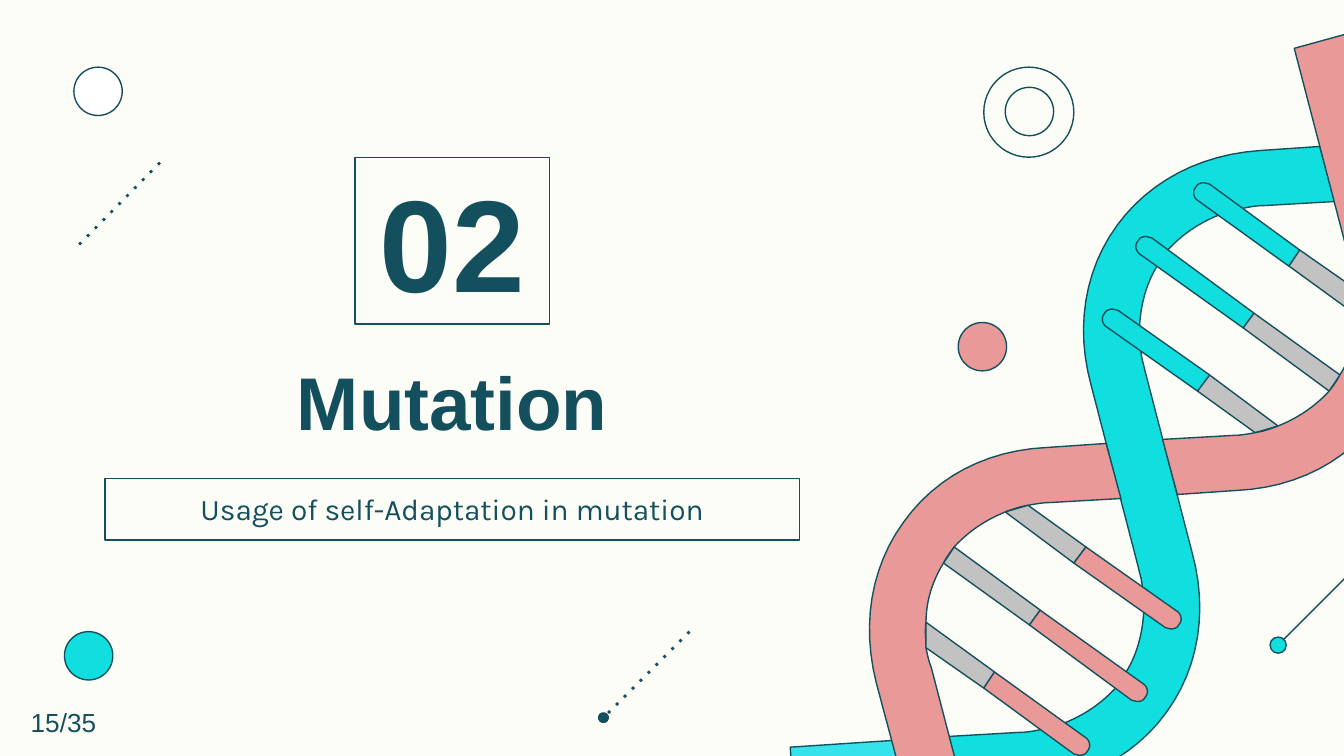
"""Builds the "Mutation" section slide with its DNA helix."""
from lxml.etree import SubElement
from pptx import Presentation
from pptx.dml.color import RGBColor
from pptx.enum.shapes import MSO_CONNECTOR as Connector, MSO_SHAPE as Shape
from pptx.enum.text import MSO_ANCHOR as Anchor, MSO_AUTO_SIZE as AutoSize, PP_ALIGN as Align
from pptx.oxml.ns import qn
from pptx.util import Inches, Pt

IVORY = RGBColor(0xFD, 0xFD, 0xF8)
TEAL = RGBColor(0x13, 0x4F, 0x5C)
CYAN = RGBColor(0x11, 0xDF, 0xDF)
PALE_CYAN = RGBColor(0x36, 0xE2, 0xEB)
PINK = RGBColor(0xEA, 0x99, 0x99)
GREY = RGBColor(0xC2, 0xC2, 0xC2)
WHITE = RGBColor(0xFF, 0xFF, 0xFF)

HELIX_SUM = (16.99, 6.98)
CURVE_STEPS = 12

CYAN_HALF = [
    (9.82, 1.09), (9.38, 1.12),
    (8.93, 1.15, 8.55, 1.35, 8.31, 1.68), (8.07, 2.01, 8, 2.44, 8.12, 2.87),
    (8.47, 4.22), (8.48, 4.27, 8.5, 4.32, 8.5, 4.38),
    (8.51, 4.44, 8.51, 4.5, 8.51, 4.56), (8.5, 4.72, 8.46, 4.87, 8.38, 5),
    (8.36, 5.04, 8.33, 5.08, 8.3, 5.12), (8.2, 5.23, 8.07, 5.32, 7.92, 5.38),
    (7.86, 5.4, 7.81, 5.42, 7.74, 5.43), (7.69, 5.44, 7.64, 5.45, 7.58, 5.45),
    (7.06, 5.48),
]
PINK_UPPER = [
    (10.03, 0.25), (9.63, 0.36), (10.06, 2.01),
    (10.08, 2.06, 10.09, 2.11, 10.1, 2.16), (10.1, 2.23, 10.11, 2.29, 10.1, 2.35),
    (10.1, 2.51, 10.05, 2.66, 9.97, 2.79), (9.95, 2.83, 9.92, 2.87, 9.89, 2.91),
    (9.79, 3.02, 9.66, 3.11, 9.51, 3.17), (9.46, 3.19, 9.4, 3.21, 9.34, 3.22),
    (9.28, 3.23, 9.23, 3.24, 9.18, 3.24), (8.65, 3.27), (8.76, 3.68), (9.2, 3.65),
    (9.65, 3.63, 10.03, 3.43, 10.27, 3.09), (10.51, 2.76, 10.58, 2.33, 10.47, 1.9),
]
CYAN_END = [(6.64, 5.51), (5.88, 5.56), (5.91, 5.98), (6.74, 5.92)]
RUNGS = [
    ((8.53, 1.76), [(9.25, 2.44), (9.33, 2.33)], [(9.89, 2.91), (9.97, 2.79)]),
    ((8.96, 1.36), [(9.59, 1.98), (9.67, 1.86)], [(10.1, 2.35), (10.1, 2.16)]),
    ((8.28, 2.3), [(8.91, 2.91), (9, 2.79)], [(9.34, 3.22), (9.51, 3.17)]),
]


def half_turn(outline):
    """Turn an outline 180 degrees about the helix centre."""
    return [tuple(HELIX_SUM[i % 2] - value for i, value in enumerate(step))
            for step in outline]


def flatten(outline):
    """Turn lines and cubic curves into plain points."""
    points = []
    for step in outline:
        if len(step) == 2:
            points.append(step)
            continue
        controls = [points[-1], step[:2], step[2:4], step[4:]]
        for n in range(1, CURVE_STEPS + 1):
            t = n / CURVE_STEPS
            weights = ((1 - t) ** 3, 3 * t * (1 - t) ** 2, 3 * t * t * (1 - t), t ** 3)
            points.append(tuple(sum(w * c[axis] for w, c in zip(weights, controls))
                                for axis in (0, 1)))
    return points


class SectionSlide:
    """Holds the slide and its outline and text style."""

    def __init__(self, slide):
        """Keep the slide and colour its background."""
        self.slide = slide
        self.shapes = slide.shapes
        slide.background.fill.solid()
        slide.background.fill.fore_color.rgb = IVORY

    def paint(self, shape, fill=None):
        """Apply fill and the thin teal outline."""
        shape.shadow.inherit = False
        if fill is None:
            shape.fill.background()
        else:
            shape.fill.solid()
            shape.fill.fore_color.rgb = fill
        shape.line.color.rgb = TEAL
        shape.line.width = Pt(0.75)

    def circle(self, left, top, size, fill=None):
        """Draw an outlined circle."""
        self.paint(self.shapes.add_shape(
            Shape.OVAL, Inches(left), Inches(top), Inches(size), Inches(size)), fill)

    def outline(self, steps, fill):
        """Draw a closed freeform."""
        points = [(Inches(x), Inches(y)) for x, y in flatten(steps)]
        builder = self.shapes.build_freeform(*points[0])
        builder.add_line_segments(points[1:], close=True)
        self.paint(builder.convert_to_shape(), fill)

    def rung(self, tip, joint, far, fill, turn=list):
        """Draw a rung with a grey half and a rounded coloured half."""
        x, y = tip
        cap = [tip, (x - 0.03, y, x - 0.05, y + 0.01, x - 0.06, y + 0.03),
               (x - 0.09, y + 0.06, x - 0.08, y + 0.11, x - 0.05, y + 0.13)]
        self.outline(turn(joint[::-1] + far), GREY)
        self.outline(turn(cap + joint + [(x + 0.04, y + 0.01)]), fill)

    def line(self, start, end, width=0.75, dash=None, tail=None):
        """Draw a straight line."""
        connector = self.shapes.add_connector(
            Connector.STRAIGHT, *(Inches(value) for value in start + end))
        connector.line.color.rgb = TEAL
        connector.line.width = Pt(width)
        properties = connector._element.spPr
        stroke = properties.find(qn("a:ln"))
        if dash:
            SubElement(stroke, qn("a:prstDash")).set("val", dash)
        if tail:
            SubElement(stroke, qn("a:tailEnd")).set("type", tail)
        SubElement(properties, qn("a:effectLst"))

    def text(self, shape, words, size, font="Arial", bold=False,
             anchor=Anchor.MIDDLE, align=Align.CENTER, inset=0.1, wrap=True):
        """Write and format one paragraph in a shape."""
        frame = shape.text_frame
        frame.text = words
        frame.word_wrap = wrap
        frame.auto_size = AutoSize.NONE if wrap else AutoSize.SHAPE_TO_FIT_TEXT
        frame.vertical_anchor = anchor
        frame.margin_left = frame.margin_right = Inches(0.1)
        frame.margin_top = frame.margin_bottom = Inches(inset)
        paragraph = frame.paragraphs[0]
        paragraph.alignment = align
        paragraph.space_before = Pt(0)
        style = paragraph.runs[0].font
        style.name, style.size, style.bold = font, Pt(size), bold
        style.color.rgb = TEAL

    def place(self, shape, left, top, width, height):
        """Move and size a placeholder."""
        shape.left, shape.top = Inches(left), Inches(top)
        shape.width, shape.height = Inches(width), Inches(height)
        return shape


def main():
    """Build and save the slide."""
    deck = Presentation()
    deck.slide_width = Inches(10)
    deck.slide_height = deck.slide_width * 9 // 16
    page = SectionSlide(deck.slides.add_slide(deck.slide_layouts[0]))

    page.circle(7.32, 0.5, 0.67)
    page.circle(7.48, 0.65, 0.36)
    page.circle(9.45, 4.74, 0.12, CYAN)
    page.line((9.55, 4.76), (10.47, 3.84))
    page.circle(0.55, 0.5, 0.36, WHITE)
    page.circle(0.48, 4.7, 0.36, CYAN)
    page.line((1.19, 1.21), (0.55, 1.86), 1.5, "dot")
    page.line((5.13, 4.7), (4.49, 5.34), 1.5, "dot", "oval")

    title = page.place(page.shapes.title, 0.78, 2.4, 5.17, 1.16)
    page.text(title, "Mutation", 40, bold=True)
    number = page.shapes.add_shape(
        Shape.RECTANGLE, Inches(2.64), Inches(1.17), Inches(1.45), Inches(1.24))
    page.paint(number)
    page.text(number, "02", 70, bold=True)
    subtitle = page.place(page.slide.placeholders[1], 0.78, 3.56, 5.17, 0.46)
    page.paint(subtitle)
    page.text(subtitle, "Usage of self-Adaptation in mutation", 16, "Karla",
              anchor=Anchor.BOTTOM)

    page.outline(CYAN_END, PALE_CYAN)
    page.outline(CYAN_HALF + half_turn(CYAN_HALF), CYAN)
    page.outline(half_turn(PINK_UPPER), PINK)
    for rung in RUNGS:
        page.rung(*rung, CYAN)
    page.outline(PINK_UPPER, PINK)
    for rung in RUNGS:
        page.rung(*rung, PINK, half_turn)
    page.circle(7.13, 2.4, 0.36, PINK)

    page_number = page.shapes.add_textbox(
        Inches(0.13), Inches(5.21), Inches(0.69), Inches(0.34))
    page.text(page_number, "15/35", 14, anchor=Anchor.TOP, align=Align.LEFT,
              inset=0.05, wrap=False)
    deck.save("out.pptx")


if __name__ == "__main__":
    main()
